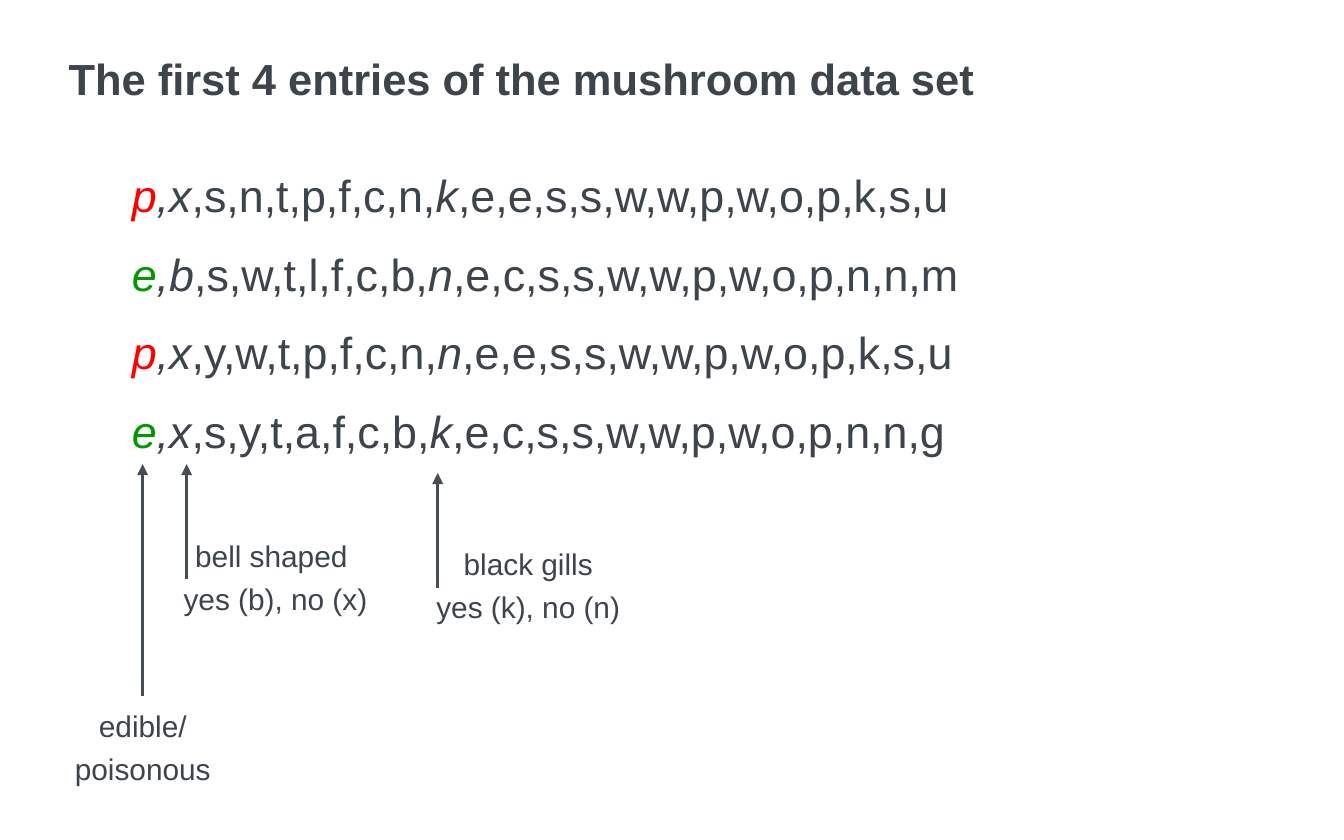
from lxml.etree import SubElement
from pptx import Presentation
from pptx.dml.color import RGBColor
from pptx.enum.shapes import MSO_CONNECTOR
from pptx.enum.text import PP_ALIGN
from pptx.oxml.ns import qn
from pptx.util import Pt

SLATE = RGBColor(0x3E, 0x44, 0x4C)
ARROW_GRAY = RGBColor(0x46, 0x4D, 0x56)
POISON_RED = RGBColor(0xFF, 0x00, 0x00)
EDIBLE_GREEN = RGBColor(0x00, 0x99, 0x00)

deck = Presentation()
deck.slide_width = Pt(720)
deck.slide_height = Pt(450)
page = deck.slides.add_slide(deck.slide_layouts[6])


def add_text(paragraphs, left, top, width, height, size, bold=False,
             align=PP_ALIGN.LEFT, line_spacing=1.2, space_before=7.5):
    box = page.shapes.add_textbox(Pt(left), Pt(top), Pt(width), Pt(height))
    frame = box.text_frame
    frame.word_wrap = True
    frame.margin_left = frame.margin_top = frame.margin_right = frame.margin_bottom = 0
    for index, spans in enumerate(paragraphs):
        para = frame.paragraphs[0] if index == 0 else frame.add_paragraph()
        para.alignment = align
        para.line_spacing = line_spacing
        if index > 0:
            para.space_before = Pt(space_before)
        for text, color, italic in spans:
            for number, line in enumerate(text.split("\n")):
                if number > 0:
                    para.add_line_break()
                span = para.add_run()
                span.text = line
                span.font.name = "Arial"
                span.font.size = Pt(size)
                span.font.bold = bold
                span.font.italic = italic
                span.font.color.rgb = color


title = "The first 4 entries of the mushroom data set"
add_text([[(title, SLATE, False)]], 36.7, 31, 649.4, 45.4, 23.3, bold=True, line_spacing=0.9)

class_colors = {"p": POISON_RED, "e": EDIBLE_GREEN}
entries = [
    ("p", ",x", ",s,n,t,p,f,c,n,", "k", ",e,e,s,s,w,w,p,w,o,p,k,s,u"),
    ("e", ",b", ",s,w,t,l,f,c,b,", "n", ",e,c,s,s,w,w,p,w,o,p,n,n,m"),
    ("p", ",x", ",y,w,t,p,f,c,n,", "n", ",e,e,s,s,w,w,p,w,o,p,k,s,u"),
    ("e", ",x", ",s,y,t,a,f,c,b,", "k", ",e,c,s,s,w,w,p,w,o,p,n,n,g"),
]
rows = []
for label, shape, middle, gills, rest in entries:
    rows.append([
        (label, class_colors[label], True),
        (shape, SLATE, True),
        (middle, SLATE, False),
        (gills, SLATE, True),
        (rest, SLATE, False),
    ])
add_text(rows, 70.6, 84.2, 649.4, 329, 24)

arrows = [(76.4, 373, 248.6), (100, 310, 248.6), (234.5, 315, 253.4)]
for x, bottom, top in arrows:
    arrow = page.shapes.add_connector(MSO_CONNECTOR.STRAIGHT, Pt(x), Pt(bottom), Pt(x), Pt(top))
    arrow.line.color.rgb = ARROW_GRAY
    arrow.line.width = Pt(1.5)
    SubElement(arrow.line._get_or_add_ln(), qn("a:tailEnd"), type="triangle")
    SubElement(arrow._element.spPr, qn("a:effectLst"))

captions = [
    ("edible/\npoisonous", 32.2, 375.1, 88.6),
    ("bell shaped \nyes (b), no (x)", 90, 284.2, 115.2),
    ("black gills\nyes (k), no (n)", 225.4, 288.7, 115.2),
]
for text, left, top, width in captions:
    add_text([[(text, SLATE, False)]], left, top, width, 44.6, 16, align=PP_ALIGN.CENTER)

deck.save("out.pptx")
